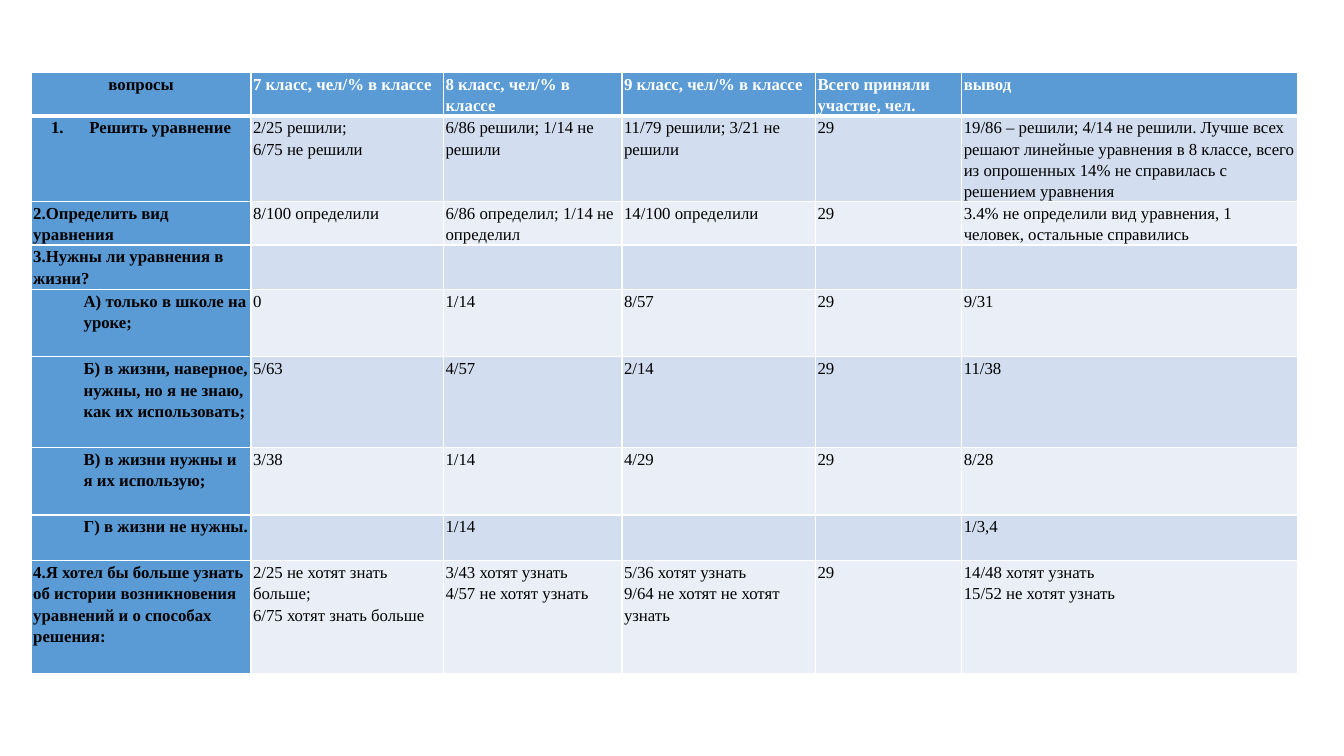
from dataclasses import dataclass

from lxml import etree
from pptx import Presentation
from pptx import util as u
from pptx.dml import color
from pptx.enum import text
from pptx.oxml import ns

FONT = "Times New Roman"
BLACK = color.RGBColor(0x00, 0x00, 0x00)
WHITE = color.RGBColor(0xFF, 0xFF, 0xFF)
BLUE = color.RGBColor(0x5B, 0x9B, 0xD5)
BAND_DARK = color.RGBColor(0xD2, 0xDE, 0xEF)
BAND_LIGHT = color.RGBColor(0xEA, 0xEF, 0xF7)

COLUMN_WIDTHS = (2.18, 1.91, 1.77, 1.92, 1.45, 3.33)
HEADER_HEIGHT = 0.43
HEADINGS = (
    "вопросы",
    "7 класс, чел/% в классе",
    "8 класс, чел/% в классе",
    "9 класс, чел/% в классе",
    "Всего приняли участие, чел.",
    "вывод",
)


@dataclass(frozen=True)
class Question:
    height: float
    title: str
    answers: tuple[str, ...] = ("",) * 5
    indent: float = 0
    numbered: bool = False


QUESTIONS = (
    Question(0.85, "Решить уравнение", (
        "2/25 решили;\n6/75 не решили",
        "6/86 решили; 1/14 не решили",
        "11/79 решили; 3/21 не решили",
        "29",
        "19/86 – решили; 4/14 не решили. Лучше всех решают линейные уравнения "
        "в 8 классе, всего из опрошенных 14% не справилась с решением уравнения",
    ), indent=0.38, numbered=True),
    Question(0.43, "2.Определить вид уравнения", (
        "8/100 определили",
        "6/86 определил; 1/14 не определил",
        "14/100 определили",
        "29",
        "3.4% не определили вид уравнения, 1 человек, остальные справились",
    )),
    Question(0.44, "3.Нужны ли уравнения в жизни?"),
    Question(0.67, "А) только в школе на уроке;",
             ("0", "1/14", "8/57", "29", "9/31"), indent=0.5),
    Question(0.9, "Б) в жизни, наверное, нужны, но я не знаю, как их использовать;",
             ("5/63", "4/57", "2/14", "29", "11/38"), indent=0.5),
    Question(0.67, "В) в жизни нужны и я их использую;",
             ("3/38", "1/14", "4/29", "29", "8/28"), indent=0.5),
    Question(0.45, "Г) в жизни не нужны.",
             ("", "1/14", "", "", "1/3,4"), indent=0.5),
    Question(1.12, "4.Я хотел бы больше узнать об истории возникновения уравнений "
             "и о способах решения:", (
                 "2/25 не хотят знать больше;\n6/75 хотят знать больше",
                 "3/43 хотят узнать\n4/57 не хотят узнать",
                 "5/36 хотят узнать\n9/64 не хотят не хотят узнать",
                 "29",
                 "14/48 хотят узнать\n15/52 не хотят узнать",
             )),
)


def set_borders(cell, top: float = 1, bottom: float = 1) -> None:
    properties = cell._tc.get_or_add_tcPr()
    for side, width in (("L", 1), ("R", 1), ("T", top), ("B", bottom)):
        line = etree.SubElement(properties, ns.qn(f"a:ln{side}"), w=str(u.Pt(width)))
        fill = etree.SubElement(line, ns.qn("a:solidFill"))
        etree.SubElement(fill, ns.qn("a:srgbClr"), val=str(WHITE))


def write_cell(cell, content: str, *, fill: color.RGBColor,
               ink: color.RGBColor = BLACK, bold: bool = False,
               centred: bool = False, indent: float = 0,
               numbered: bool = False, top: float = 1, bottom: float = 1) -> None:
    set_borders(cell, top, bottom)
    cell.fill.solid()
    cell.fill.fore_color.rgb = fill
    cell.margin_left = cell.margin_right = u.Inches(0.02)
    cell.margin_top = cell.margin_bottom = 0
    if not content:
        return
    frame = cell.text_frame
    for index, line in enumerate(content.split("\n")):
        para = frame.add_paragraph() if index else frame.paragraphs[0]
        para.line_spacing = 1.15
        para.alignment = text.PP_ALIGN.CENTER if centred else text.PP_ALIGN.LEFT
        properties = para._p.get_or_add_pPr()
        properties.set("marL", str(u.Inches(indent)))
        properties.set("indent", str(-u.Inches(indent) if numbered else 0))
        if numbered:
            etree.SubElement(properties, ns.qn("a:buAutoNum"), type="arabicPeriod")
        span = para.add_run()
        span.text = line
        span.font.name = FONT
        span.font.size = u.Pt(12)
        span.font.bold = bold
        span.font.color.rgb = ink


def fill_header(table) -> None:
    for column, heading in enumerate(HEADINGS):
        write_cell(table.cell(0, column), heading, fill=BLUE, bold=True, bottom=3,
                   ink=WHITE if column else BLACK, centred=column == 0)


def fill_question(table, row: int, question: Question) -> None:
    top = 3 if row == 1 else 1
    band = BAND_DARK if row % 2 else BAND_LIGHT
    write_cell(table.cell(row, 0), question.title, fill=BLUE, bold=True, top=top,
               centred=question.numbered, indent=question.indent,
               numbered=question.numbered)
    for column, answer in enumerate(question.answers, 1):
        write_cell(table.cell(row, column), answer, fill=band, top=top)


def main() -> None:
    deck = Presentation()
    deck.slide_width = u.Inches(13.33)
    deck.slide_height = u.Inches(7.5)
    page = deck.slides.add_slide(deck.slide_layouts[6])
    heights = (HEADER_HEIGHT, *(question.height for question in QUESTIONS))
    table = page.shapes.add_table(
        len(heights), len(COLUMN_WIDTHS), u.Inches(0.31), u.Inches(0.72),
        u.Inches(sum(COLUMN_WIDTHS)), u.Inches(sum(heights))).table
    for column, width in zip(table.columns, COLUMN_WIDTHS):
        column.width = u.Inches(width)
    for row, height in zip(table.rows, heights):
        row.height = u.Inches(height)
    fill_header(table)
    for index, question in enumerate(QUESTIONS, 1):
        fill_question(table, index, question)
    deck.save("out.pptx")


if __name__ == "__main__":
    main()
